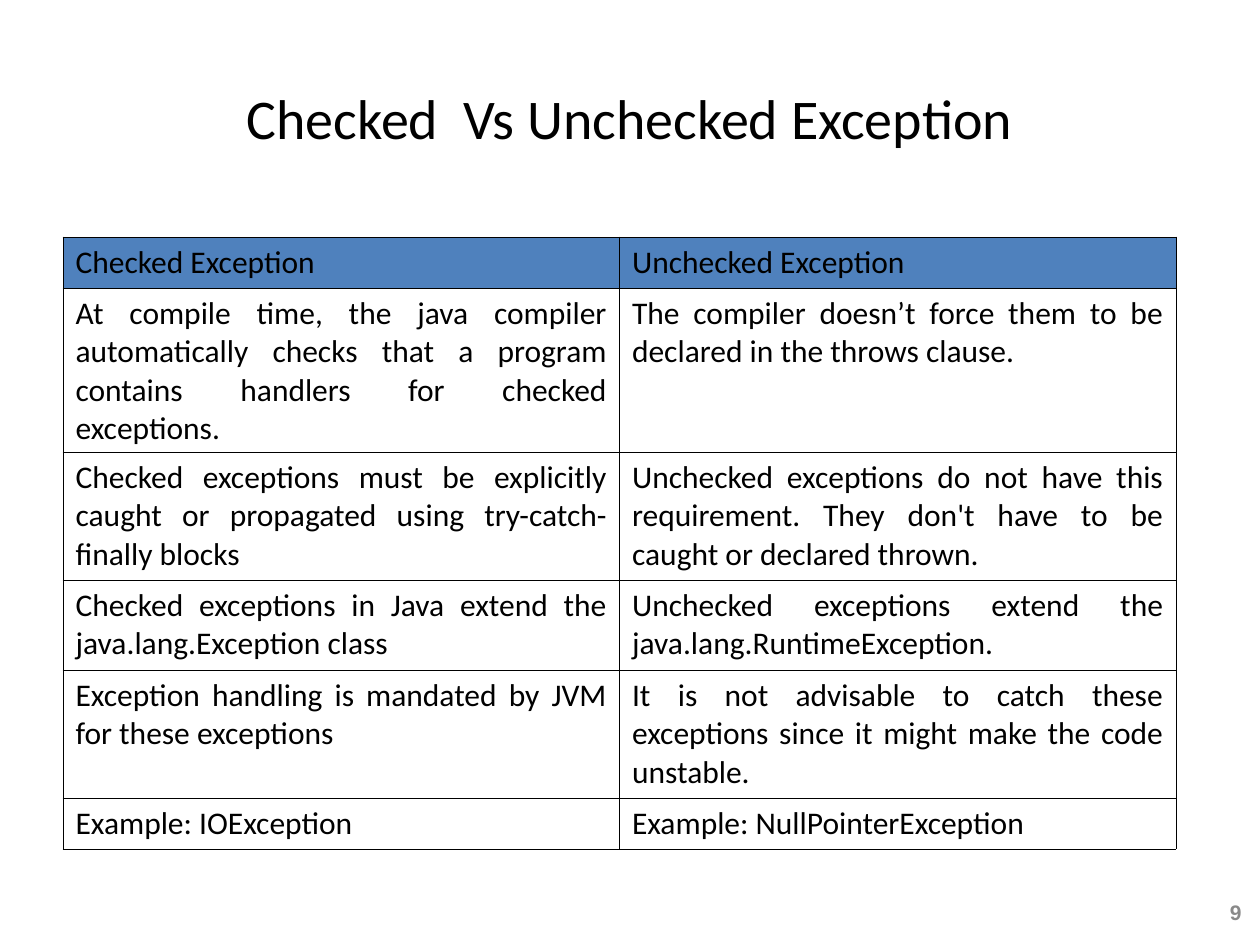
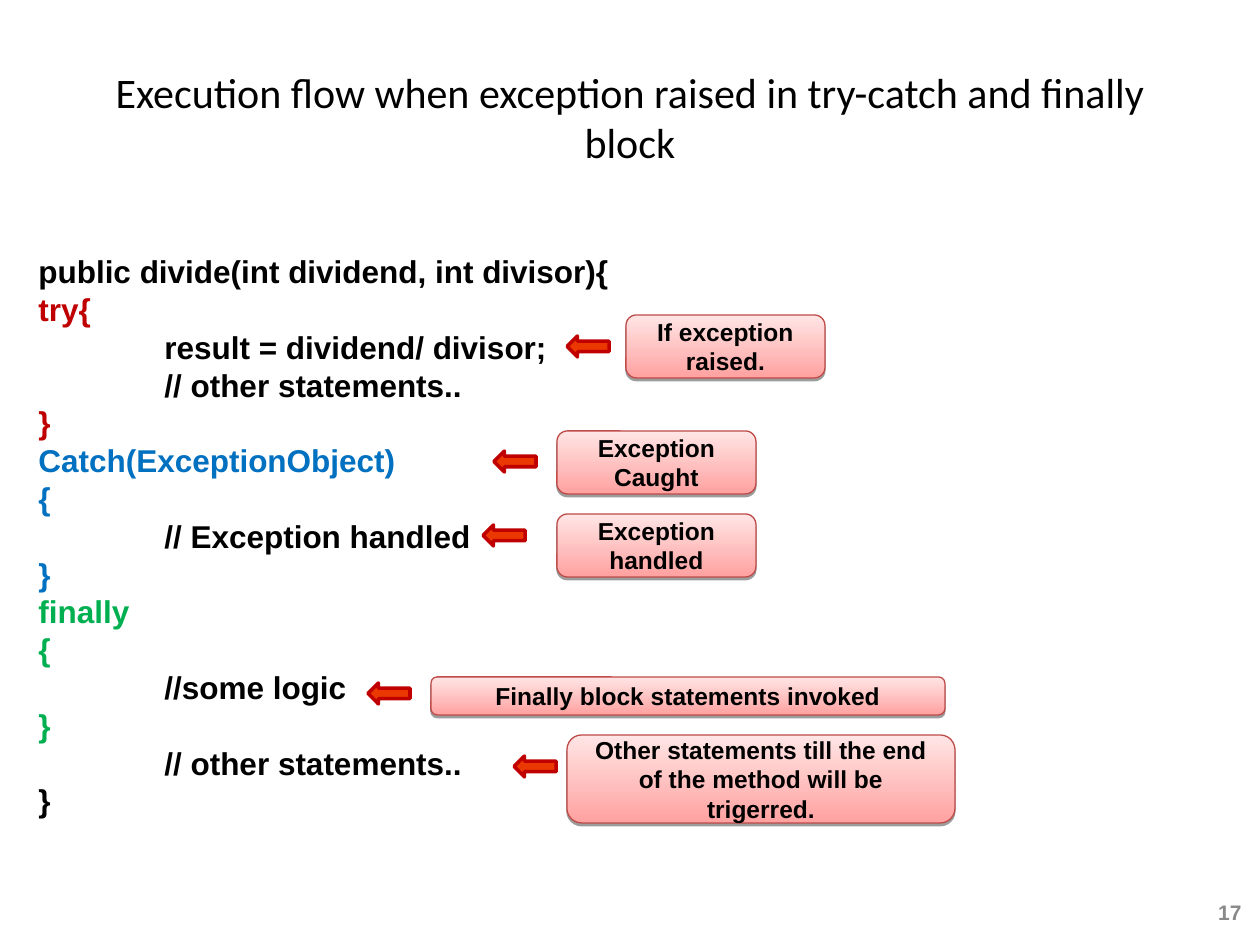
from lxml import etree
from pptx import Presentation
from pptx.dml.color import RGBColor as RGB
from pptx.enum.shapes import MSO_SHAPE as SHAPE
from pptx.enum.text import MSO_ANCHOR as ANCHOR, PP_ALIGN as ALIGN
from pptx.oxml import parse_xml
from pptx.oxml.ns import nsdecls, qn
from pptx.util import Pt

PX = 914400 / 126
COLORS = {
    "text": "000000", "number": "898989", "header": "4F81BD",
    "try": "C00000", "catch": "0070C0", "finally": "00B050",
    "arrow": "EA3800", "arrow_line": "C00000", "note_line": "BE4B48",
    "note_bottom": "FFA2A1", "note_top": "FFE5E5",
}
COMPARISON = [
    ("Checked Exception", "Unchecked Exception"),
    ("At compile time, the java compiler automatically checks that a program "
     "contains handlers for checked exceptions.",
     "The compiler doesn’t force them to be declared in the throws clause."),
    ("Checked exceptions must be explicitly caught or propagated using "
     "try-catch-finally blocks",
     "Unchecked exceptions do not have this requirement. They don't have to "
     "be caught or declared thrown."),
    ("Checked exceptions in Java extend the java.lang.Exception class",
     "Unchecked exceptions extend the java.lang.RuntimeException."),
    ("Exception handling is mandated by JVM for these exceptions",
     "It is not advisable to catch these exceptions since it might make the "
     "code unstable."),
    ("Example: IOException", "Example: NullPointerException"),
]
ROW_HEIGHTS = [51, 164, 128, 90, 128, 51]
CODE = [
    ("public divide(int dividend, int divisor){", "text"),
    ("try{", "try"),
    ("\tresult = dividend/ divisor;", "text"),
    ("\t// other statements..", "text"),
    ("}", "try"),
    ("Catch(ExceptionObject)", "catch"),
    ("{", "catch"),
    ("\t// Exception handled", "text"),
    ("}", "catch"),
    ("finally", "finally"),
    ("{", "finally"),
    ("\t//some logic", "text"),
    ("}", "finally"),
    ("\t// other statements..", "text"),
    ("}", "text"),
]
STEPS = [
    ("If exception raised.", (567, 336), (626, 315, 199, 63)),
    ("Exception Caught", (494, 451), (557, 431, 199, 63)),
    ("Exception handled", (483, 525), (557, 514, 199, 63)),
    ("Finally block statements invoked", (368, 683), (431, 677, 514, 38)),
    ("Other statements till the end of the method will be trigerred.",
     (514, 756), (567, 735, 388, 88)),
]


def px(*values):
    return [round(v * PX) for v in values]


def rgb(name):
    return RGB.from_string(COLORS[name])


class Deck:
    def __init__(self):
        self.prs = Presentation()
        self.prs.slide_width, self.prs.slide_height = px(1260, 945)

    def format(self, p, size, font="Arial", color="text", bold=True, align=ALIGN.LEFT):
        p.alignment = align
        if font == "Arial":
            p.line_spacing = Pt(size * 1.2)
        for r in p.runs:
            r.font.size, r.font.name, r.font.bold = Pt(size), font, bold
            r.font.color.rgb = rgb(color)

    def slide(self, title, size, number):
        self.s = self.prs.slides.add_slide(self.prs.slide_layouts[5])
        sp = self.s.shapes.title
        sp.left, sp.top, sp.width, sp.height = px(63, 38, 1134, 158)
        tf = sp.text_frame
        tf.text = title
        tf.vertical_anchor = ANCHOR.MIDDLE
        self.format(tf.paragraphs[0], size, "Calibri", bold=False, align=ALIGN.CENTER)
        tf = self.textbox(1192, 890, 62, 44)
        tf.text = str(number)
        tf.vertical_anchor = ANCHOR.MIDDLE
        self.format(tf.paragraphs[0], 12, color="number", align=ALIGN.RIGHT)

    def textbox(self, *box):
        tf = self.s.shapes.add_textbox(*px(*box)).text_frame
        tf.word_wrap = True
        return tf

    def table(self, x, y, width, heights, rows):
        cols = len(rows[0])
        frame = self.s.shapes.add_table(len(rows), cols, *px(x, y, width, sum(heights)))
        table = frame.table
        table.first_row = table.horz_banding = False
        for i, texts in enumerate(rows):
            table.rows[i].height = px(heights[i])[0]
            for j, text in enumerate(texts):
                cell = table.cell(i, j)
                cell.text = text
                self.border(cell)
                if i == 0:
                    cell.fill.solid()
                    cell.fill.fore_color.rgb = rgb("header")
                else:
                    cell.fill.background()
                self.format(cell.text_frame.paragraphs[0], 18, "Calibri", bold=False,
                            align=ALIGN.JUSTIFY if i else ALIGN.LEFT)

    def border(self, cell):
        for side in "LRTB":
            cell._tc.get_or_add_tcPr().append(parse_xml(
                f'<a:ln{side} {nsdecls("a")} w="5715"><a:solidFill>'
                f'<a:srgbClr val="{COLORS["text"]}"/></a:solidFill></a:ln{side}>'))

    def code(self, box, lines):
        tf = self.textbox(*box)
        for i, (text, color) in enumerate(lines):
            p = tf.add_paragraph() if i else tf.paragraphs[0]
            p.text = text
            tabs = etree.SubElement(p._p.get_or_add_pPr(), qn("a:tabLst"))
            etree.SubElement(tabs, qn("a:tab"), pos="914400", algn="l")
            self.format(p, 18, color=color)

    def shape(self, kind, box, line, width):
        sp = self.s.shapes.add_shape(kind, *px(*box))
        sp.shadow.inherit = False
        sp.line.color.rgb = rgb(line)
        sp.line.width = Pt(width)
        return sp

    def arrow(self, x, y):
        sp = self.shape(SHAPE.LEFT_ARROW, (x, y, 42, 21), "arrow_line", 2)
        sp.fill.solid()
        sp.fill.fore_color.rgb = rgb("arrow")

    def note(self, text, box):
        sp = self.shape(SHAPE.ROUNDED_RECTANGLE, box, "note_line", 0.75)
        sp.fill.gradient()
        sp.fill.gradient_angle = 90
        for stop, color in zip(sp.fill.gradient_stops, ("note_bottom", "note_top")):
            stop.color.rgb = rgb(color)
        sp._element.spPr.find(qn("a:effectLst")).append(parse_xml(
            f'<a:outerShdw {nsdecls("a")} dist="20320" dir="5400000" rotWithShape="0">'
            '<a:srgbClr val="000000"><a:alpha val="38000"/></a:srgbClr></a:outerShdw>'))
        tf = sp.text_frame
        tf.text = text
        tf.word_wrap = True
        tf.vertical_anchor = ANCHOR.MIDDLE
        self.format(tf.paragraphs[0], 14, align=ALIGN.CENTER)


def main():
    deck = Deck()
    deck.slide("Checked  Vs Unchecked Exception", 32, 9)
    deck.table(63, 237, 1113, ROW_HEIGHTS, COMPARISON)

    deck.slide("Execution flow when exception raised in try-catch and finally block", 24, 17)
    deck.code((26, 246, 609, 617), CODE)
    for text, arrow, box in STEPS:
        deck.arrow(*arrow)
        deck.note(text, box)
    deck.prs.save("out.pptx")


if __name__ == "__main__":
    main()
